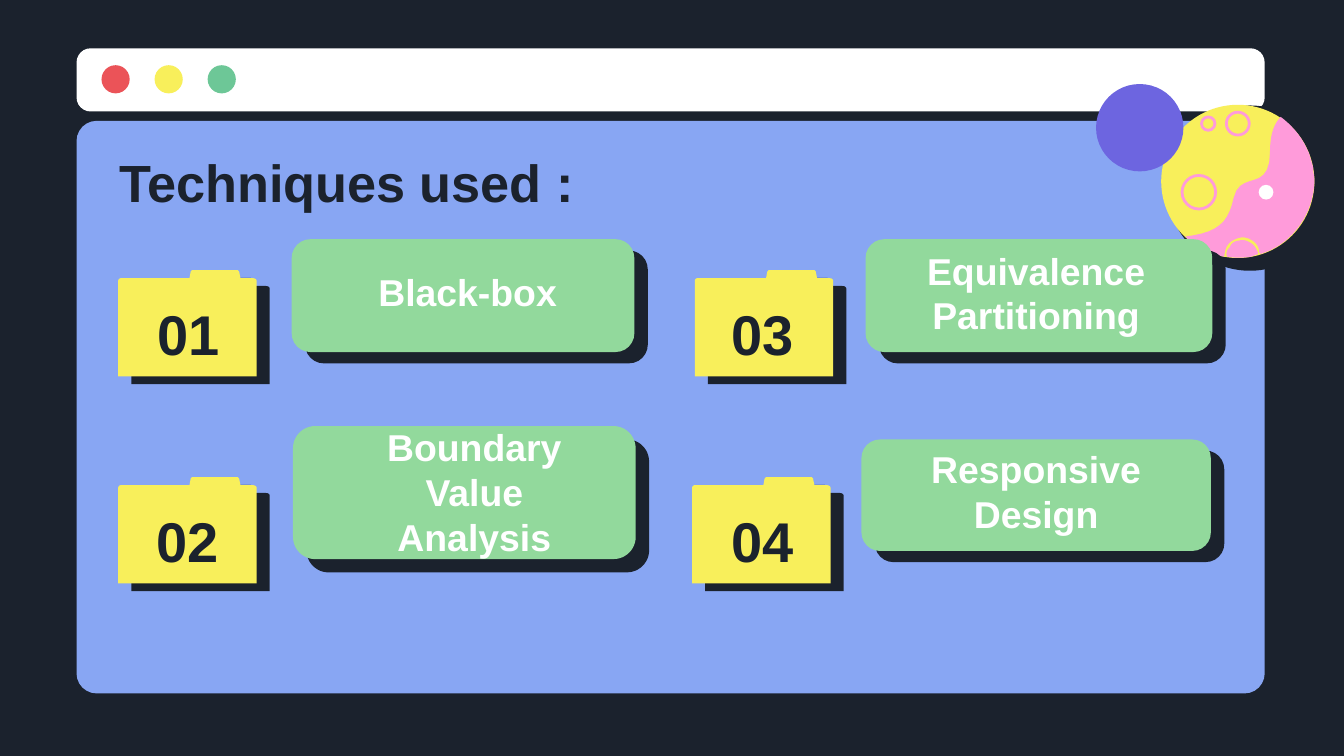
from lxml import etree
from pptx import Presentation
from pptx.dml.color import RGBColor
from pptx.enum.shapes import MSO_SHAPE
from pptx.enum.text import MSO_ANCHOR, PP_ALIGN
from pptx.oxml.ns import qn
from pptx.util import Inches, Pt

ROUNDED, OVAL = MSO_SHAPE.ROUNDED_RECTANGLE, MSO_SHAPE.OVAL
TOP, MIDDLE, BOTTOM = MSO_ANCHOR.TOP, MSO_ANCHOR.MIDDLE, MSO_ANCHOR.BOTTOM
LEFT, CENTER = PP_ALIGN.LEFT, PP_ALIGN.CENTER

COLORS = {
    "ink": "1B222D", "white": "FFFFFF", "window": "88A6F3", "card": "92D99C",
    "red": "EB5358", "yellow": "F8EF5B", "green": "6DC797",
    "pink": "FF9BDA", "purple": "6D65E0",
}
FONT = "Arial"
CURVE_STEPS = 10


def color(name):
    return RGBColor.from_string(COLORS[name])


def trace(start, segments):
    """Turn line ends (2 numbers) and Bezier curves (6 numbers) into points."""
    points = [start]
    for segment in segments:
        if len(segment) == 2:
            points.append(segment)
            continue
        x0, y0 = points[-1]
        x1, y1, x2, y2, x3, y3 = segment
        for step in range(1, CURVE_STEPS + 1):
            t = step / CURVE_STEPS
            a, b, c, d = (1 - t) ** 3, 3 * t * (1 - t) ** 2, 3 * t * t * (1 - t), t ** 3
            points.append((a * x0 + b * x1 + c * x2 + d * x3,
                           a * y0 + b * y1 + c * y2 + d * y3))
    return points


class SlideBuilder:
    def __init__(self, slide):
        self.slide = slide
        slide.background.fill.solid()
        slide.background.fill.fore_color.rgb = color("ink")

    def paint(self, shape, fill):
        shape.shadow.inherit = False
        shape.fill.solid()
        shape.fill.fore_color.rgb = color(fill)
        shape.line.fill.background()
        return shape

    def panel(self, left, top, width, height, fill, corner):
        panel = self.slide.shapes.add_shape(
            ROUNDED, Inches(left), Inches(top), Inches(width), Inches(height))
        panel.adjustments[0] = corner
        return self.paint(panel, fill)

    def disc(self, x, y, diameter, fill):
        """Filled circle placed by its centre."""
        disc = self.slide.shapes.add_shape(
            OVAL, Inches(x - diameter / 2), Inches(y - diameter / 2),
            Inches(diameter), Inches(diameter))
        return self.paint(disc, fill)

    def ring(self, x, y, diameter, stroke):
        ring = self.disc(x, y, diameter, stroke)
        ring.fill.background()
        ring.line.color.rgb = color(stroke)
        ring.line.width = Pt(1.5)

    def outline(self, contours, fill):
        emu = [[(Inches(x), Inches(y)) for x, y in points] for points in contours]
        builder = self.slide.shapes.build_freeform(*emu[0][0], scale=1.0)
        builder.add_line_segments(emu[0][1:], close=True)
        for points in emu[1:]:
            builder.move_to(*points[0])
            builder.add_line_segments(points[1:], close=True)
        return self.paint(builder.convert_to_shape(), fill)

    def hard_shadow(self, shape, distance, degrees):
        effects = shape.element.spPr.find(qn("a:effectLst"))
        shadow = etree.SubElement(
            effects, qn("a:outerShdw"), blurRad="0", dist=str(Pt(distance)),
            dir=str(degrees * 60000), algn="bl", rotWithShape="0")
        etree.SubElement(shadow, qn("a:srgbClr"), val=COLORS["ink"])

    def folder(self, left, top):
        segments = [
            (1.03, 0.79), (0, 0.79), (0, 0.08), (0, 0.07, 0.01, 0.06, 0.02, 0.06),
            (0.53, 0.06), (0.54, 0.01), (0.54, 0.01, 0.55, 0, 0.55, 0), (0.89, 0),
            (0.89, 0, 0.9, 0.01, 0.9, 0.01), (0.91, 0.06), (1, 0.06),
            (1.02, 0.06, 1.03, 0.07, 1.03, 0.08),
        ]
        points = [(left + x, top + y) for x, y in trace((1.03, 0.08), segments)]
        self.hard_shadow(self.outline([points], "yellow"), 8.2, 31)

    def text(self, box, words, size, ink, anchor=MIDDLE, align=CENTER):
        frame = self.slide.shapes.add_textbox(*map(Inches, box)).text_frame
        frame.word_wrap = True
        frame.vertical_anchor = anchor
        frame.margin_left = frame.margin_right = Inches(0.1)
        frame.margin_top = frame.margin_bottom = Inches(0.1)
        paragraph = frame.paragraphs[0]
        paragraph.alignment = align
        run = paragraph.add_run()
        run.text = words
        run.font.name, run.font.size, run.font.bold = FONT, Pt(size), True
        run.font.color.rgb = color(ink)

    def card(self, left, top, width, height):
        for shift, fill in ((0.1, "ink"), (0, "card")):
            self.panel(left + shift, top + shift * height, width, height, fill, 0.167)


LAND = trace((9.53, 0.87), [
    (9.61, 0.93, 9.69, 1.02, 9.73, 1.12), (9.74, 1.14),
    (9.75, 1.17, 9.76, 1.21, 9.77, 1.24), (9.77, 1.28, 9.78, 1.31, 9.78, 1.34),
    (9.78, 1.36), (9.77, 1.6, 9.61, 1.82, 9.38, 1.89),
    (9.38, 1.89, 9.38, 1.88, 9.37, 1.88), (9.37, 1.84, 9.35, 1.81, 9.32, 1.79),
    (9.29, 1.77, 9.25, 1.76, 9.22, 1.77), (9.18, 1.78, 9.15, 1.8, 9.13, 1.83),
    (9.12, 1.85, 9.11, 1.88, 9.11, 1.91), (9, 1.89, 8.9, 1.84, 8.82, 1.76),
    (9.06, 1.73, 9.14, 1.66, 9.18, 1.47), (9.23, 1.26, 9.45, 1.44, 9.45, 1.13),
    (9.45, 0.98, 9.49, 0.91, 9.53, 0.87),
])
LAND_CRATER = trace((9.36, 1.89), [
    (9.36, 1.89, 9.36, 1.89, 9.36, 1.88), (9.35, 1.85, 9.33, 1.82, 9.31, 1.81),
    (9.28, 1.79, 9.25, 1.78, 9.22, 1.79), (9.19, 1.79, 9.16, 1.81, 9.15, 1.84),
    (9.13, 1.86, 9.12, 1.88, 9.13, 1.91), (9.19, 1.92, 9.25, 1.92, 9.31, 1.91),
    (9.33, 1.9, 9.34, 1.9, 9.36, 1.89),
])

# Number, its left edge, technique, folder position, card box, label box
TECHNIQUES = [
    ("01", 0.97, "Black-box", (0.88, 2.01), (2.17, 1.78, 2.55, 0.84),
     (2.45, 2.24, 2.06, 0.07)),
    ("02", 0.96, "Boundary Value Analysis", (0.88, 3.55), (2.18, 3.17, 2.55, 0.99),
     (2.5, 3.05, 2.06, 1.21)),
    ("03", 5.24, "Equivalence Partitioning", (5.17, 2.01), (6.44, 1.78, 2.58, 0.84),
     (6.68, 2.17, 2.06, 0.44)),
    ("04", 5.24, "Responsive Design", (5.15, 3.55), (6.41, 3.27, 2.6, 0.83),
     (6.68, 3.65, 2.06, 0.44)),
]


def main():
    deck = Presentation()
    deck.slide_width = Inches(10)
    deck.slide_height = Inches(10) * 9 // 16
    page = SlideBuilder(deck.slides.add_slide(deck.slide_layouts[6]))

    # Browser window
    page.panel(0.57, 0.36, 8.84, 0.47, "white", 0.223)
    for index, fill in enumerate(("red", "yellow", "green")):
        page.disc(0.86 + index * 0.395, 0.59, 0.21, fill)
    page.panel(0.57, 0.9, 8.84, 4.26, "window", 0.035)

    # Planet with craters, and its moon
    page.disc(9.3, 1.4, 1.23, "ink")
    page.disc(9.21, 1.35, 1.14, "yellow")
    for x, y, diameter in ((8.92, 1.43, 0.25), (9.21, 0.92, 0.17), (8.99, 0.92, 0.1)):
        page.ring(x, y, diameter, "pink")
    page.outline([LAND, LAND_CRATER], "pink")
    page.disc(9.42, 1.43, 0.11, "white")
    page.disc(8.48, 0.95, 0.65, "purple")

    # Heading
    page.text((0.79, 1.02, 8.43, 0.62), "Techniques used :", 28, "ink", TOP, LEFT)

    # Numbered techniques
    for number, number_left, technique, folder, card, label in TECHNIQUES:
        page.card(*card)
        page.folder(*folder)
        page.text((number_left, folder[1] + 0.14, 0.87, 0.65), number, 30, "ink")
        page.text(label, technique, 20, "white", BOTTOM)

    deck.save("out.pptx")


if __name__ == "__main__":
    main()
